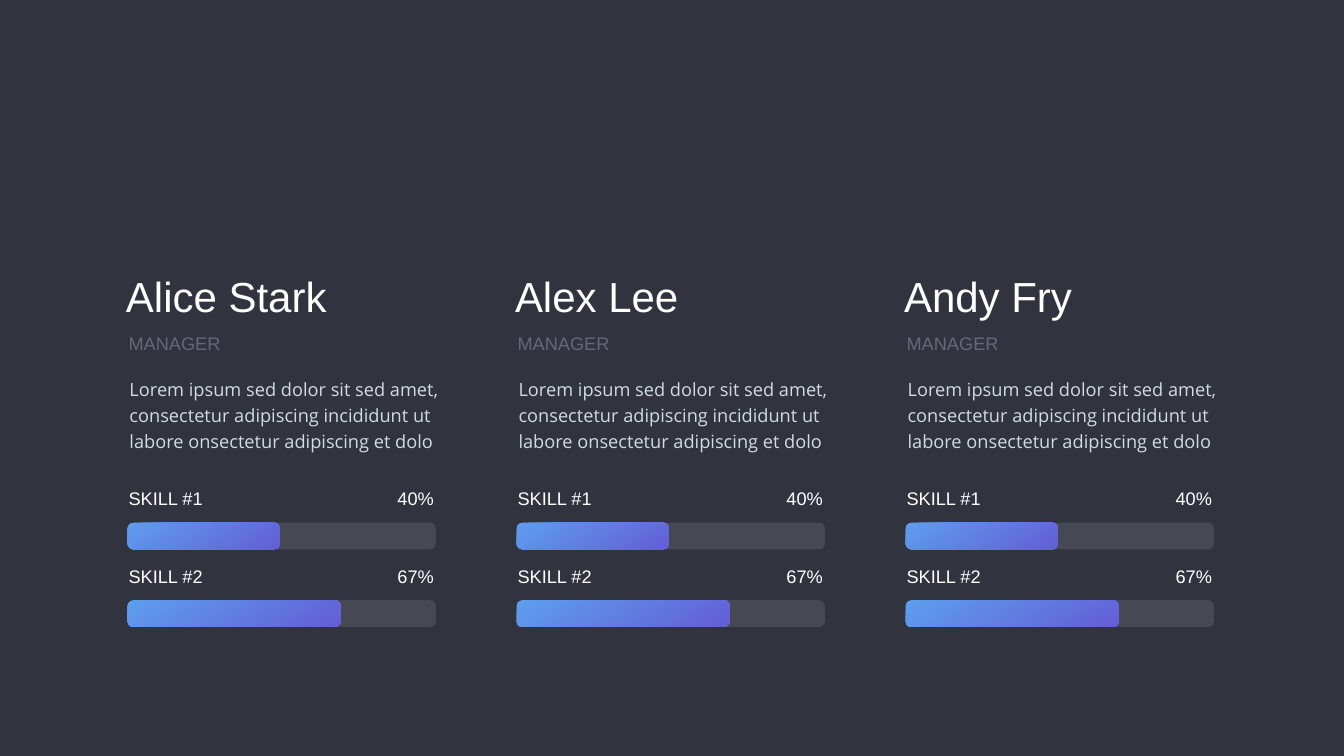
from dataclasses import dataclass

from pptx import Presentation
from pptx.dml.color import RGBColor
from pptx.enum.shapes import MSO_SHAPE
from pptx.enum.text import MSO_ANCHOR, MSO_AUTO_SIZE, PP_ALIGN
from pptx.shapes.autoshape import Shape
from pptx.slide import Slide
from pptx.util import Inches, Pt

ROUND = MSO_SHAPE.ROUNDED_RECTANGLE
TOP, MIDDLE = MSO_ANCHOR.TOP, MSO_ANCHOR.MIDDLE
LEFT, RIGHT = PP_ALIGN.LEFT, PP_ALIGN.RIGHT
GROW = MSO_AUTO_SIZE.SHAPE_TO_FIT_TEXT


@dataclass(frozen=True)
class Theme:
    back: str = "31333F"
    white: str = "FFFFFF"
    body: str = "D2DBE4"
    muted: str = "646879"
    track: str = "464853"
    start: str = "5E9EEE"
    end: str = "635ED6"
    angle: int = 57
    head_font: str = "Arial"
    body_font: str = "Open Sans"
    name_size: int = 60
    text_size: int = 26


@dataclass(frozen=True)
class Box:
    left: float
    top: float
    width: float
    height: float


@dataclass(frozen=True)
class Style:
    font: str
    size: int
    color: str
    align: PP_ALIGN = LEFT
    anchor: MSO_ANCHOR = MIDDLE
    line: float = 1.0
    before: int = 0


@dataclass(frozen=True)
class Skill:
    label: str
    value: str
    length: float


@dataclass(frozen=True)
class Person:
    name: str
    role: str
    about: str


THEME = Theme()
NAME = Style(THEME.head_font, THEME.name_size, THEME.white)
ROLE = Style(THEME.head_font, THEME.text_size, THEME.muted)
ABOUT = Style(THEME.body_font, THEME.text_size, THEME.body,
              anchor=TOP, line=1.2, before=20)
LABEL = Style(THEME.head_font, THEME.text_size, THEME.white)
VALUE = Style(THEME.head_font, THEME.text_size, THEME.white, align=RIGHT)

LOREM = ("Lorem ipsum sed dolor sit sed amet, consectetur adipiscing "
         "incididunt ut labore onsectetur adipiscing et dolo")
TEAM = [Person(name, "MANAGER", LOREM)
        for name in ("Alice Stark", "Alex Lee", "Andy Fry")]
SKILLS = [Skill("SKILL #1", "40%", 3.02), Skill("SKILL #2", "67%", 4.23)]

MARGIN, COLUMN_STEP = 2.53, 7.72
SKILL_TOP, SKILL_STEP = 9.62, 1.54
BAR_DROP, BAR_WIDTH, ROW_HEIGHT = 0.75, 6.12, 0.53
LABEL_WIDTH, INSET, CORNER = 1.72, 0.06, 0.215


def add_text(slide: Slide, box: Box, text: str, style: Style) -> None:
    shape = slide.shapes.add_textbox(
        Inches(box.left), Inches(box.top), Inches(box.width), Inches(box.height))
    frame = shape.text_frame
    frame.text = text
    frame.word_wrap = True
    frame.auto_size = GROW
    frame.vertical_anchor = style.anchor
    frame.margin_left = frame.margin_right = Inches(INSET)
    frame.margin_top = frame.margin_bottom = Inches(INSET)
    para = frame.paragraphs[0]
    para.alignment = style.align
    para.line_spacing = style.line
    para.space_before = Pt(style.before)
    font = para.runs[0].font
    font.name = style.font
    font.size = Pt(style.size)
    font.color.rgb = RGBColor.from_string(style.color)


def add_bar(slide: Slide, box: Box) -> Shape:
    bar = slide.shapes.add_shape(
        ROUND, Inches(box.left), Inches(box.top),
        Inches(box.width), Inches(box.height))
    bar.adjustments[0] = CORNER
    bar.shadow.inherit = False
    bar.line.fill.background()
    return bar


def add_skill(slide: Slide, left: float, top: float, skill: Skill) -> None:
    bar_top = top + BAR_DROP
    track = add_bar(slide, Box(left, bar_top, BAR_WIDTH, ROW_HEIGHT))
    track.fill.solid()
    track.fill.fore_color.rgb = RGBColor.from_string(THEME.track)

    level = add_bar(slide, Box(left, bar_top, skill.length, ROW_HEIGHT))
    level.fill.gradient()
    level.fill.gradient_angle = 360 - THEME.angle
    for stop, color in zip(level.fill.gradient_stops, (THEME.start, THEME.end)):
        stop.color.rgb = RGBColor.from_string(color)

    add_text(slide, Box(left - 0.04, top, LABEL_WIDTH, ROW_HEIGHT),
             skill.label, LABEL)
    add_text(slide, Box(left + 4.42, top, LABEL_WIDTH, ROW_HEIGHT),
             skill.value, VALUE)


def add_person(slide: Slide, left: float, person: Person) -> None:
    add_text(slide, Box(left - 0.09, 5.31, 5.15, 1.1), person.name, NAME)
    add_text(slide, Box(left - 0.02, 7.35, 6.32, 1.81), person.about, ABOUT)
    add_text(slide, Box(left - 0.04, 6.54, 4.19, ROW_HEIGHT), person.role, ROLE)
    for row, skill in enumerate(SKILLS):
        add_skill(slide, left, SKILL_TOP + row * SKILL_STEP, skill)


def main() -> None:
    deck = Presentation()
    deck.slide_width, deck.slide_height = Inches(26.67), Inches(15)
    slide = deck.slides.add_slide(deck.slide_layouts.get_by_name("Blank"))
    slide.background.fill.solid()
    slide.background.fill.fore_color.rgb = RGBColor.from_string(THEME.back)
    for column, person in enumerate(TEAM):
        add_person(slide, MARGIN + column * COLUMN_STEP, person)
    deck.save("out.pptx")


if __name__ == "__main__":
    main()
